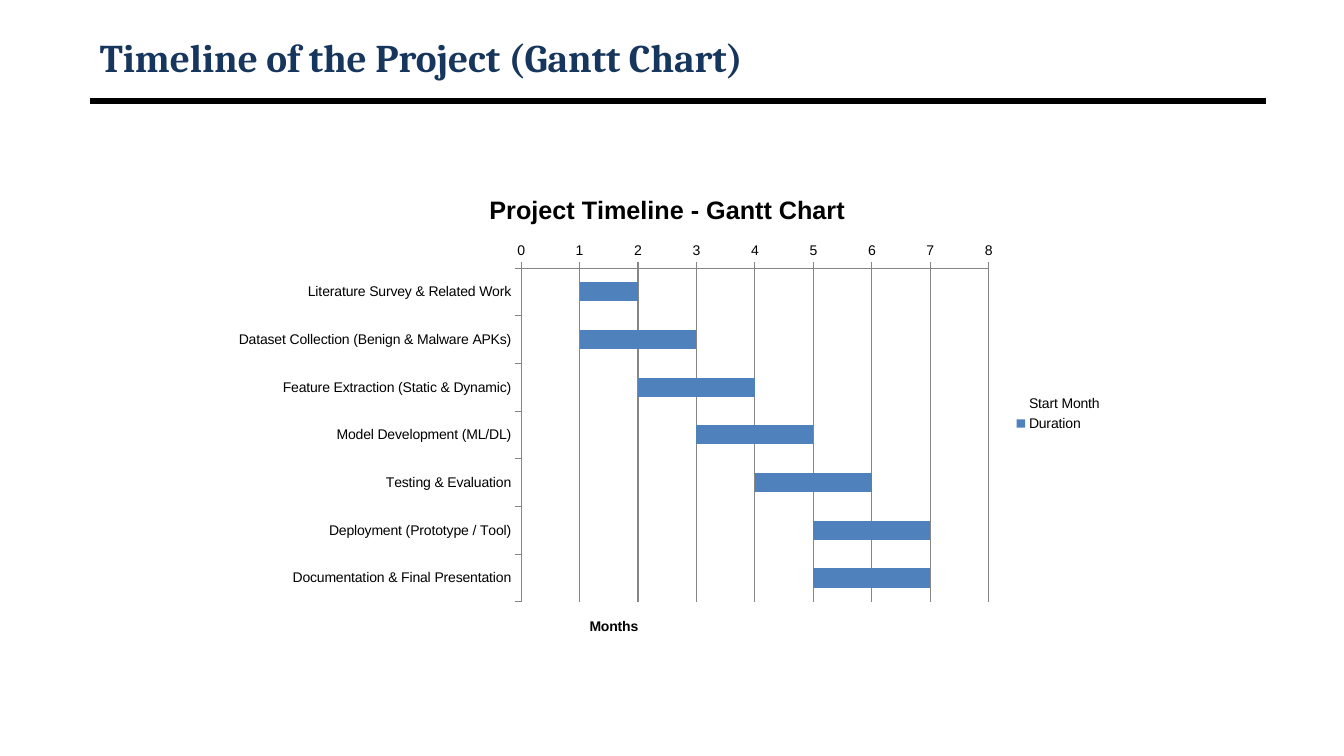
from pptx import Presentation
from pptx.chart.data import CategoryChartData
from pptx.dml.color import RGBColor
from pptx.enum.chart import XL_CHART_TYPE, XL_LEGEND_POSITION, XL_TICK_MARK
from pptx.enum.shapes import MSO_CONNECTOR
from pptx.enum.text import MSO_ANCHOR
from pptx.oxml import parse_xml
from pptx.oxml.ns import nsdecls, qn
from pptx.util import Cm, Pt

TASKS = [
    ("Literature Survey & Related Work", 1, 1),
    ("Dataset Collection (Benign & Malware APKs)", 1, 2),
    ("Feature Extraction (Static & Dynamic)", 2, 2),
    ("Model Development (ML/DL)", 3, 2),
    ("Testing & Evaluation", 4, 2),
    ("Deployment (Prototype / Tool)", 5, 2),
    ("Documentation & Final Presentation", 5, 2),
]


def rgb(color):
    return RGBColor.from_string(color)


def write(tf, text, size, font="Arial", color="000000", bold=True):
    p = tf.paragraphs[0]
    r = p.add_run()
    r.text = text
    r.font.name = font
    r.font.size = Pt(size)
    r.font.bold = bold
    r.font.color.rgb = rgb(color)


def add_text(s, x, y, w, h, text, **fmt):
    tf = s.shapes.add_textbox(Cm(x), Cm(y), Cm(w), Cm(h)).text_frame
    tf.word_wrap = True
    tf.vertical_anchor = MSO_ANCHOR.MIDDLE
    write(tf, text, **fmt)


def add_rule(s, x1, x2, y, width, color):
    line = s.shapes.add_connector(MSO_CONNECTOR.STRAIGHT, Cm(x1), Cm(y), Cm(x2), Cm(y))
    line.line.width = Pt(width)
    line.line.color.rgb = rgb(color)
    line._element.spPr.append(parse_xml(f"<a:effectLst {nsdecls('a')}/>"))


def set_layout(parent, index, target="", **fractions):
    for old in parent.findall(qn("c:layout")):
        parent.remove(old)
    inner = f'<c:layoutTarget val="{target}"/>' if target else ""
    modes = "".join(f'<c:{k}Mode val="edge"/>' for k in "xy")
    values = "".join(f'<c:{k} val="{v}"/>' for k, v in fractions.items())
    parent.insert(index, parse_xml(
        f"<c:layout {nsdecls('c')}><c:manualLayout>{inner}{modes}{values}"
        "</c:manualLayout></c:layout>"))


def style_axis(axis):
    axis.major_tick_mark = XL_TICK_MARK.OUTSIDE
    axis.minor_tick_mark = XL_TICK_MARK.NONE
    axis.format.line.color.rgb = rgb("868686")
    axis.format.line.width = Pt(0.75)


def add_gantt(s, x, y, w, h, title, axis_title):
    names, starts, durations = zip(*TASKS)
    data = CategoryChartData()
    data.categories = names
    data.add_series("Start Month", starts)
    data.add_series("Duration", durations)
    chart = s.shapes.add_chart(
        XL_CHART_TYPE.BAR_STACKED, Cm(x), Cm(y), Cm(w), Cm(h), data).chart
    chart.font.name = "Arial"
    chart.font.size = Pt(10)
    chart.font.color.rgb = rgb("000000")
    write(chart.chart_title.text_frame, title, size=18)

    chart.has_legend = True
    chart.legend.position = XL_LEGEND_POSITION.RIGHT
    chart.legend.include_in_layout = False

    plot = chart.plots[0]
    plot.gap_width = 150
    plot.overlap = 100
    plot.vary_by_categories = False
    start, duration = plot.series
    start.format.fill.background()
    start.format.line.fill.background()
    duration.format.fill.solid()
    duration.format.fill.fore_color.rgb = rgb("4F81BD")

    cat, val = chart.category_axis, chart.value_axis
    style_axis(cat)
    style_axis(val)
    cat.reverse_order = True
    val.minimum_scale, val.maximum_scale, val.major_unit = 0, 8, 1
    val.has_major_gridlines = True
    val.major_gridlines.format.line.color.rgb = rgb("868686")
    val.major_gridlines.format.line.width = Pt(0.75)
    write(val.axis_title.text_frame, axis_title, size=10)

    set_layout(val.axis_title._element, 1, x=0.41, y=0.92)
    set_layout(chart._chartSpace.chart.plotArea, 0, "inner",
               x=0.336, y=0.196, w=0.525, h=0.697)


def main():
    prs = Presentation()
    prs.slide_width, prs.slide_height = Cm(33.87), Cm(19.05)
    s = prs.slides.add_slide(prs.slide_layouts[6])
    add_rule(s, 2.27, 31.9, 2.55, 4.5, "000000")
    add_text(s, 2.27, 0.76, 29.63, 1.35, "Timeline of the Project (Gantt Chart)",
             size=28, font="Cambria", color="17365D")
    add_gantt(s, 5.59, 4.39, 22.45, 12.07, "Project Timeline - Gantt Chart", "Months")
    prs.save("out.pptx")


if __name__ == "__main__":
    main()
